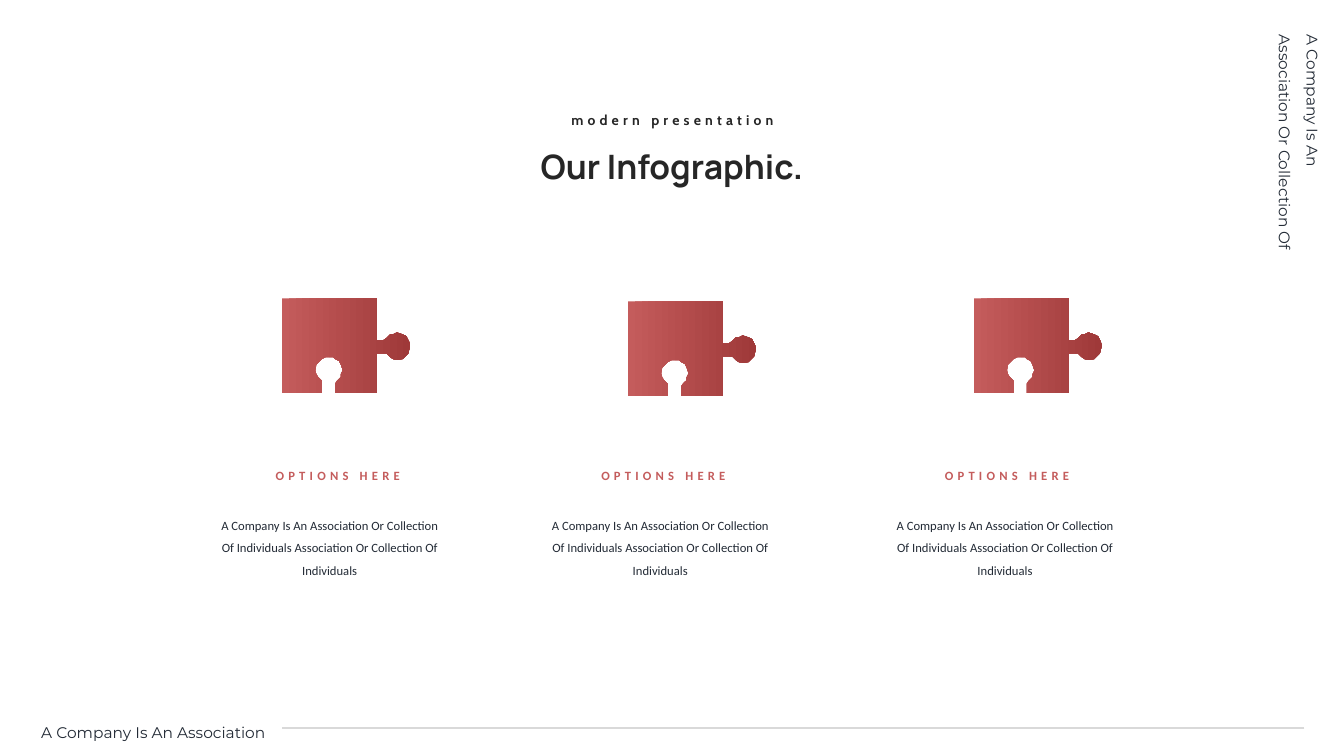
from lxml import etree
from pptx import Presentation
from pptx import util as u
from pptx.dml.color import RGBColor
from pptx.enum import text
from pptx.oxml.ns import qn

COLORS = {
    "ink": "262626",
    "navy": "222A35",
    "rose": "C45C5C",
    "wine": "9F3939",
    "rule": "D9D9D9",
}
LEFT, CENTER = text.PP_ALIGN.LEFT, text.PP_ALIGN.CENTER

deck = Presentation()
deck.slide_width, deck.slide_height = u.Inches(13.33), u.Inches(7.5)
page = deck.slides.add_slide(deck.slide_layouts[5])


def share(left, top, width=0, height=0):
    """Turn percentages of the slide's size into lengths."""
    across, down = deck.slide_width / 100, deck.slide_height / 100
    return [u.Emu(round(part * unit)) for part, unit in
            zip((left, top, width, height), (across, down, across, down))]


def write(box, words, face, size, color, align=LEFT, bold=False, spread=0, leading=1.0):
    frame = box.text_frame
    frame.word_wrap = True
    frame.auto_size = text.MSO_AUTO_SIZE.NONE
    frame.vertical_anchor = text.MSO_ANCHOR.TOP
    para = frame.paragraphs[0]
    para.text = words
    para.alignment, para.line_spacing = align, leading
    font = para.font
    font.name, font.size, font.bold = face, u.Pt(size), bold
    font.color.rgb = RGBColor.from_string(COLORS[color])
    if spread:
        font._rPr.set("spc", str(spread * 100))
    return frame


# Heading
title = page.shapes.title
title.left, title.top, title.width, title.height = share(29.48, 18.67, 41.03, 6.67)
write(title, "Our Infographic.", "Manrope", 24, "ink", CENTER, bold=True)
kicker = page.shapes.add_textbox(*share(40.28, 14.13, 19.5, 3.6))
write(kicker, "modern presentation", "Cabin", 10, "ink", CENTER, bold=True, spread=3)

# Puzzle outline in hundredths of its side; knob points are (reach, half width)
KNOB = [(0, 7), (7, 7), (10, 8), (14, 12), (17, 13), (21, 14.4),
        (27, 13), (31, 10), (33, 7), (34.5, 4), (35, 0)]
tab = [(100 + reach, 50.5 - half) for reach, half in KNOB]
tab += [(x, 101 - y) for x, y in reversed(tab)]
socket = [(49.5 + half, 100 - reach - (3 if reach else 0)) for reach, half in KNOB]
socket += [(99 - x, y) for x, y in reversed(socket)]
outline = [(100, 0), *tab, (100, 100), *socket, (0, 100)]
side = share(7.05, 0)[0]

# Columns: piece top, label left, body left
COLUMNS = [(39.47, 18.6, 15.6), (39.87, 42.83, 40.2), (39.47, 68.4, 65.85)]
for column, (piece_top, label_left, body_left) in enumerate(COLUMNS):
    builder = page.shapes.build_freeform(0, 0, scale=side / 100)
    builder.add_line_segments(outline, close=True)
    piece = builder.convert_to_shape(*share(21 + 25.73 * column, piece_top)[:2])
    piece.shadow.inherit = False
    piece.line.fill.background()
    piece.fill.gradient()
    piece.fill.gradient_angle = 0
    for stop, color in zip(piece.fill.gradient_stops, ("rose", "wine")):
        stop.color.rgb = RGBColor.from_string(COLORS[color])

    label = page.shapes.add_textbox(*share(label_left, 61.87, 13.05, 2))
    frame = write(label, "OPTIONS HERE", "Calibri", 9, "rose", CENTER, bold=True, spread=3)
    frame.margin_left = frame.margin_top = frame.margin_right = frame.margin_bottom = 0
    frame.vertical_anchor = text.MSO_ANCHOR.MIDDLE

    body = page.shapes.add_textbox(*share(body_left, 66.8, 17.85, 10.4))
    write(body, "A Company Is An Association Or Collection Of Individuals "
                "Association Or Collection Of Individuals",
          "Calibri", 9, "navy", CENTER, leading=1.5)

# Footer and side note
footer = page.shapes.add_textbox(*share(2.33, 93.73, 32.7, 4.67))
write(footer, "A Company Is An Association", "Montserrat", 11, "navy", leading=1.5)
note = page.shapes.add_textbox(*share(88.05, 15.2, 18.08, 8.27))
note.rotation = 90
write(note, "A Company Is An Association Or Collection Of",
      "Montserrat", 11, "navy", leading=1.5)

rule = page.shapes.add_connector(1, *share(97.05, 96.27)[:2], *share(21, 96.27)[:2])
rule.line.color.rgb = RGBColor.from_string(COLORS["rule"])
rule.line.width = u.Pt(1.5)
etree.SubElement(rule._element.spPr, qn("a:effectLst"))

deck.save("out.pptx")
